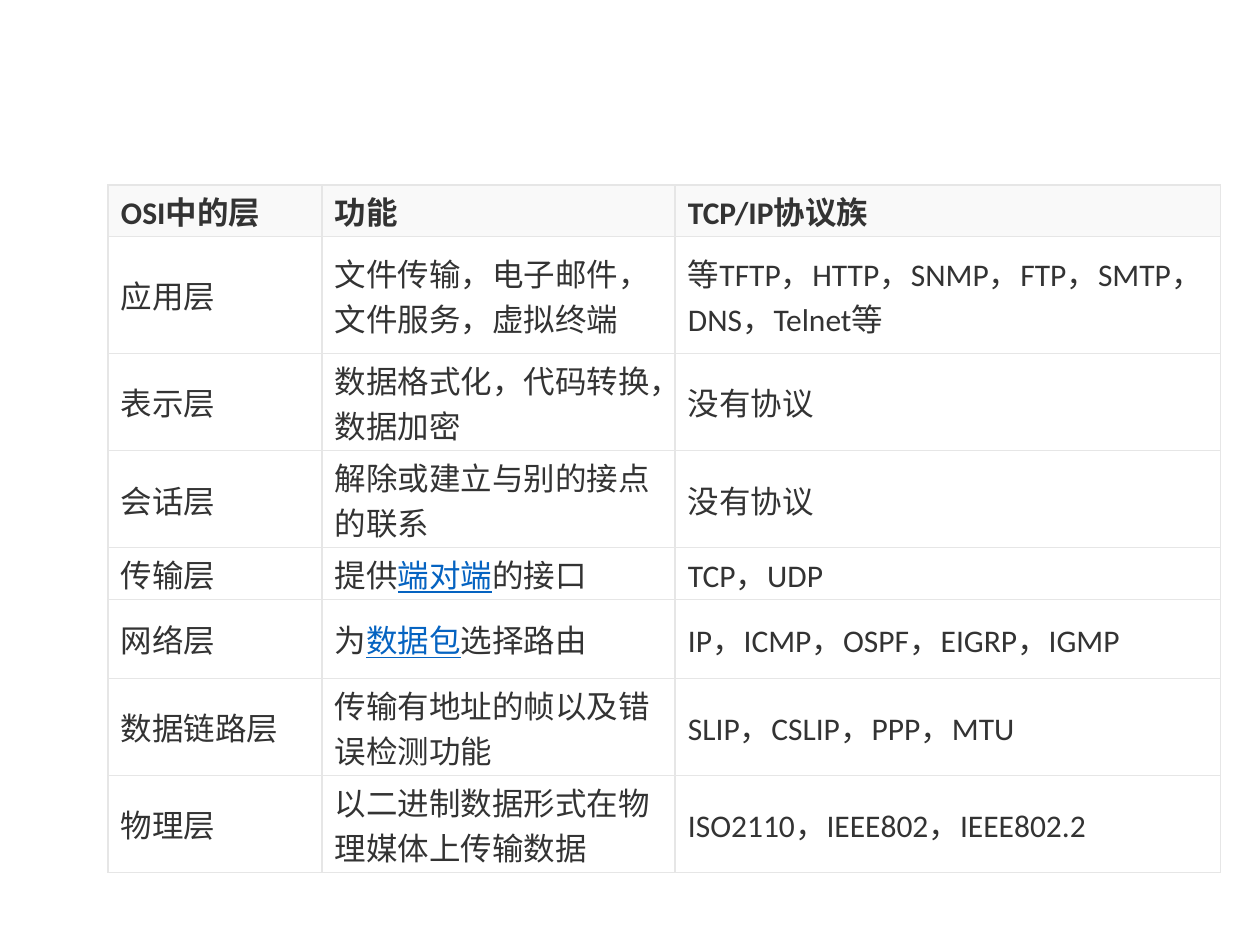
"""Build a slide that sets the OSI layers beside the TCP/IP protocols."""
from typing import NamedTuple

from lxml.etree import SubElement
from pptx import Presentation
from pptx.dml.color import RGBColor
from pptx.enum.text import MSO_ANCHOR
from pptx.oxml.ns import qn
from pptx.util import Emu, Pt

COLORS = {"text": "333333", "link": "0563C1", "line": "E6E6E6",
          "head": "F9F9F9", "body": "FFFFFF"}
WIDTHS = (214, 353, 546)
LEFT, TOP = 108, 185


class Layer(NamedTuple):
    """A table row; words between bars are shown as links."""
    high: int
    name: str
    task: str
    suite: str


LAYERS = (
    Layer(40, "OSI中的层", "功能", "TCP/IP协议族"),
    Layer(117, "应用层", "文件传输，电子邮件，文件服务，虚拟终端",
          "等TFTP，HTTP，SNMP，FTP，SMTP，DNS，Telnet等"),
    Layer(79, "表示层", "数据格式化，代码转换，数据加密", "没有协议"),
    Layer(79, "会话层", "解除或建立与别的接点的联系", "没有协议"),
    Layer(43, "传输层", "提供|端对端|的接口", "TCP，UDP"),
    Layer(79, "网络层", "为|数据包|选择路由", "IP，ICMP，OSPF，EIGRP，IGMP"),
    Layer(79, "数据链路层", "传输有地址的帧以及错误检测功能", "SLIP，CSLIP，PPP，MTU"),
    Layer(79, "物理层", "以二进制数据形式在物理媒体上传输数据",
          "ISO2110，IEEE802，IEEE802.2"),
)


def px(count: int) -> Emu:
    """Turn pixels into EMU."""
    return Emu(round(count * 914400 / 126))


def rgb(name: str) -> RGBColor:
    """Look up a named colour."""
    return RGBColor.from_string(COLORS[name])


def edge(cell) -> None:
    """Draw a thin line on each side of a cell."""
    props = cell._tc.get_or_add_tcPr()
    for spot, side in enumerate(("lnL", "lnR", "lnT", "lnB")):
        line = props.makeelement(qn(f"a:{side}"), {"w": str(Pt(0.75))})
        fill = SubElement(line, qn("a:solidFill"))
        SubElement(fill, qn("a:srgbClr"), val=COLORS["line"])
        props.insert(spot, line)


def write(cell, text: str, head: bool) -> None:
    """Fill and style one cell."""
    cell.fill.solid()
    cell.fill.fore_color.rgb = rgb("head" if head else "body")
    cell.vertical_anchor = MSO_ANCHOR.MIDDLE
    cell.margin_left = cell.margin_right = px(13)
    cell.margin_top = cell.margin_bottom = px(3)
    edge(cell)
    para = cell.text_frame.paragraphs[0]
    para.font.name = "Calibri"
    para.font.size = Pt(18)
    para.font.bold = head
    for spot, part in enumerate(text.split("|")):
        link = spot % 2 == 1
        run = para.add_run()
        run.text = part
        run.font.color.rgb = rgb("link" if link else "text")
        if link:
            run.font.underline = True


def main() -> None:
    """Make the slide and save it."""
    deck = Presentation()
    deck.slide_width, deck.slide_height = px(1260), px(945)
    slide = deck.slides.add_slide(deck.slide_layouts[6])
    high = sum(layer.high for layer in LAYERS)
    table = slide.shapes.add_table(
        len(LAYERS), len(WIDTHS), px(LEFT), px(TOP), px(sum(WIDTHS)), px(high)).table
    table.horz_banding = table.first_row = False
    for column, width in zip(table.columns, WIDTHS):
        column.width = px(width)
    for index, layer in enumerate(LAYERS):
        table.rows[index].height = px(layer.high)
        for cell, text in zip(table.rows[index].cells, layer[1:]):
            write(cell, text, index == 0)
    deck.save("out.pptx")


if __name__ == "__main__":
    main()
